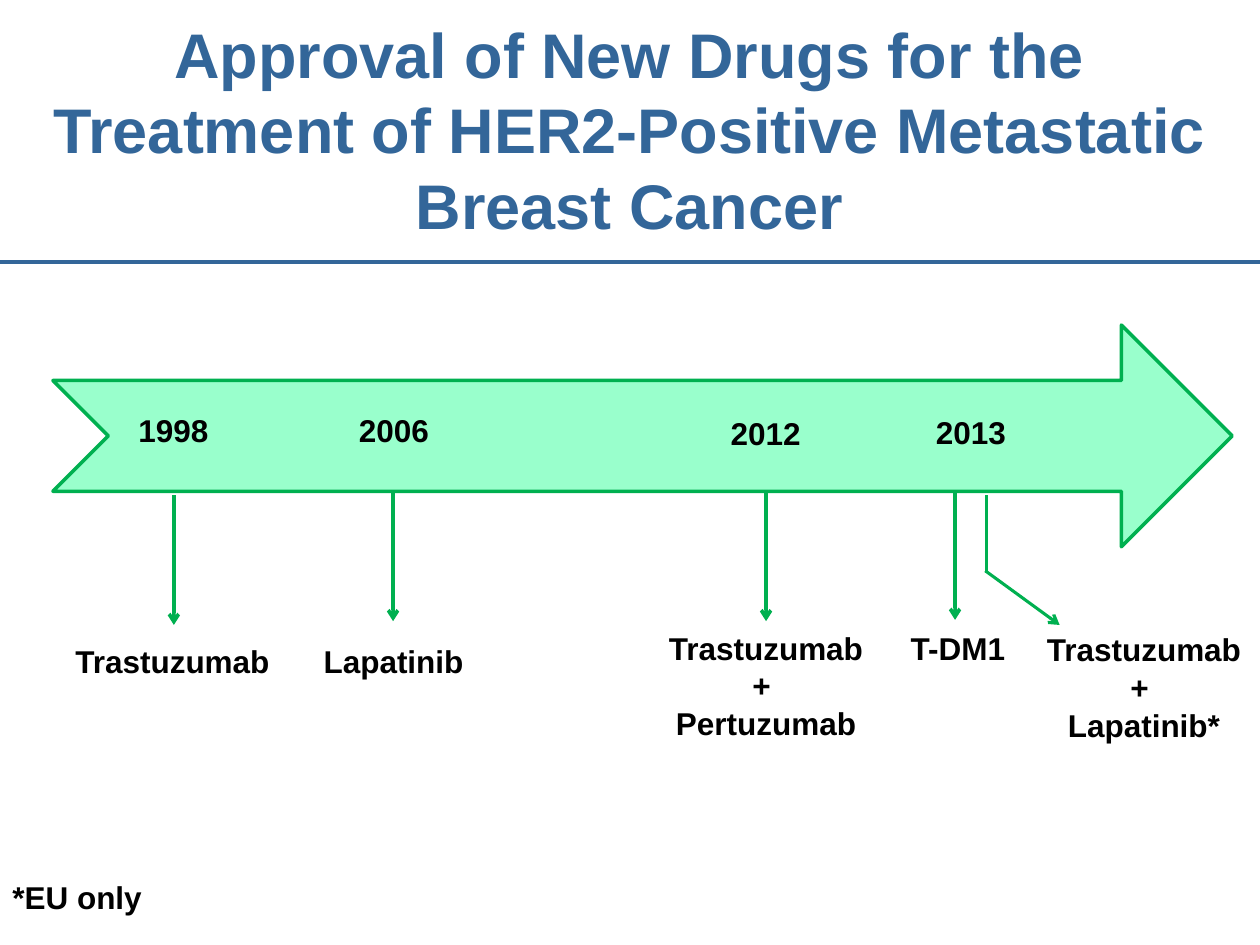
from pptx import Presentation
from pptx.dml.color import RGBColor
from pptx.enum.shapes import MSO_CONNECTOR as CONN, MSO_SHAPE as SHAPE
from pptx.enum.text import MSO_ANCHOR as ANCHOR, MSO_AUTO_SIZE as AUTO, PP_ALIGN as ALIGN
from pptx.oxml.ns import qn
from pptx.util import Inches, Pt
from lxml.etree import SubElement

BLUE = RGBColor(0x33, 0x66, 0x99)
GREEN = RGBColor(0x00, 0xB0, 0x50)
MINT = RGBColor(0x99, 0xFF, 0xCC)
BLACK = RGBColor(0x00, 0x00, 0x00)


class Deck:
    font = "Arial"

    def __init__(self, prs):
        self.s = prs.slides.add_slide(prs.slide_layouts[5])

    def style(self, tf, size, color, align):
        for p in tf.paragraphs:
            p.alignment = align
            for r in p.runs:
                r.font.name = self.font
                r.font.size = Pt(size)
                r.font.bold = True
                r.font.color.rgb = color

    def title(self, text, x, y, w, h):
        sp = self.s.shapes.title
        sp.left, sp.top, sp.width, sp.height = map(Inches, (x, y, w, h))
        tf = sp.text_frame
        tf.text = text
        tf.word_wrap = True
        tf.auto_size = AUTO.NONE
        tf.vertical_anchor = ANCHOR.MIDDLE
        self.style(tf, 36, BLUE, ALIGN.CENTER)

    def label(self, text, x, y, w, h=0.4, align=ALIGN.LEFT):
        sp = self.s.shapes.add_textbox(*map(Inches, (x, y, w, h)))
        tf = sp.text_frame
        tf.text = text
        tf.word_wrap = False
        tf.auto_size = AUTO.SHAPE_TO_FIT_TEXT
        self.style(tf, 18, BLACK, align)

    def line(self, x1, y1, x2, y2, color=GREEN, width=2, arrow=False):
        c = self.s.shapes.add_connector(CONN.STRAIGHT, *map(Inches, (x1, y1, x2, y2)))
        c.line.color.rgb = color
        c.line.width = Pt(width)
        if arrow:
            SubElement(c.line._get_or_add_ln(), qn("a:tailEnd"), type="arrow")
        SubElement(c._element.spPr, qn("a:effectLst"))

    def timeline(self, x, y, w, h):
        sp = self.s.shapes.add_shape(SHAPE.NOTCHED_RIGHT_ARROW, *map(Inches, (x, y, w, h)))
        sp.shadow.inherit = False
        sp.fill.solid()
        sp.fill.fore_color.rgb = MINT
        sp.line.color.rgb = GREEN
        sp.line.width = Pt(2)


def main():
    prs = Presentation()
    prs.slide_width, prs.slide_height = Inches(10), Inches(7.5)
    d = Deck(prs)
    d.title("Approval of New Drugs for the Treatment of HER2-Positive Metastatic Breast Cancer",
            0.19, 0.48, 9.61, 1.08)
    d.line(0, 2.08, 10, 2.08, BLUE, 2.25)
    d.timeline(0.42, 2.58, 9.36, 1.76)

    for year, x, y in (("1998", 1, 3.21), ("2006", 2.75, 3.21),
                       ("2012", 5.7, 3.24), ("2013", 7.33, 3.23)):
        d.label(year, x, y, 0.76, 0.5)

    for x, y in ((1.38, 3.93), (3.12, 3.9), (6.08, 3.9), (7.58, 3.89)):
        d.line(x, y, x, y + 1.03, arrow=True)
    d.line(7.83, 3.93, 7.83, 4.55, width=1.75)
    d.line(7.82, 4.53, 8.41, 4.96, width=1.75, arrow=True)

    for drug, x, y, w in (("Trastuzumab", 0.5, 5.05, 1.76), ("Lapatinib", 2.47, 5.05, 1.32),
                          ("T-DM1", 7.13, 4.94, 0.96), ("*EU only", 0, 6.92, 1.24)):
        d.label(drug, x, y, w)
    for partner, x, y in (("Pertuzumab", 5.2, 4.94), ("Lapatinib*", 8.2, 4.95)):
        d.label(f"Trastuzumab\n+ \n{partner}", x, y, 1.76, 1.01, ALIGN.CENTER)

    prs.save("out.pptx")


if __name__ == "__main__":
    main()
